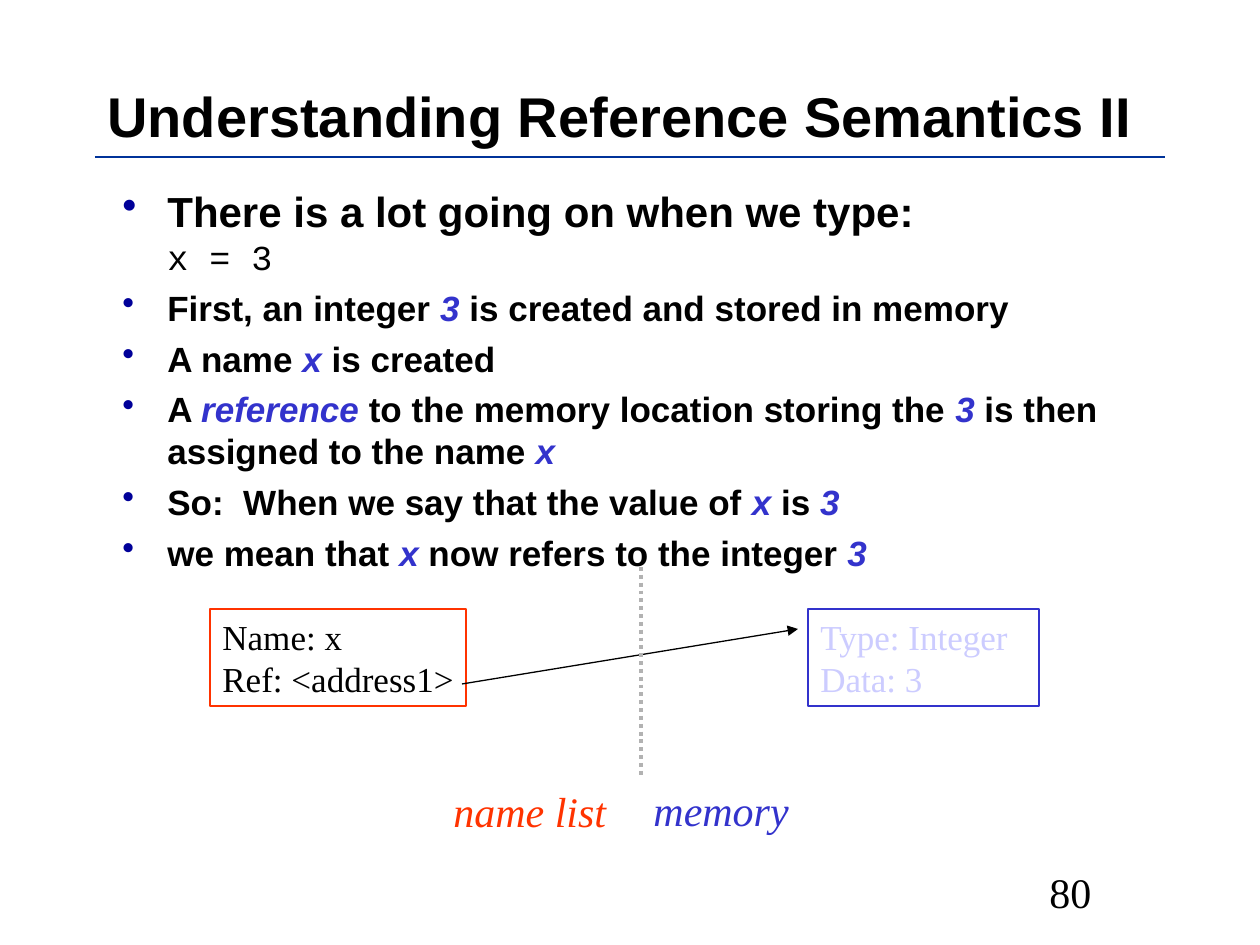
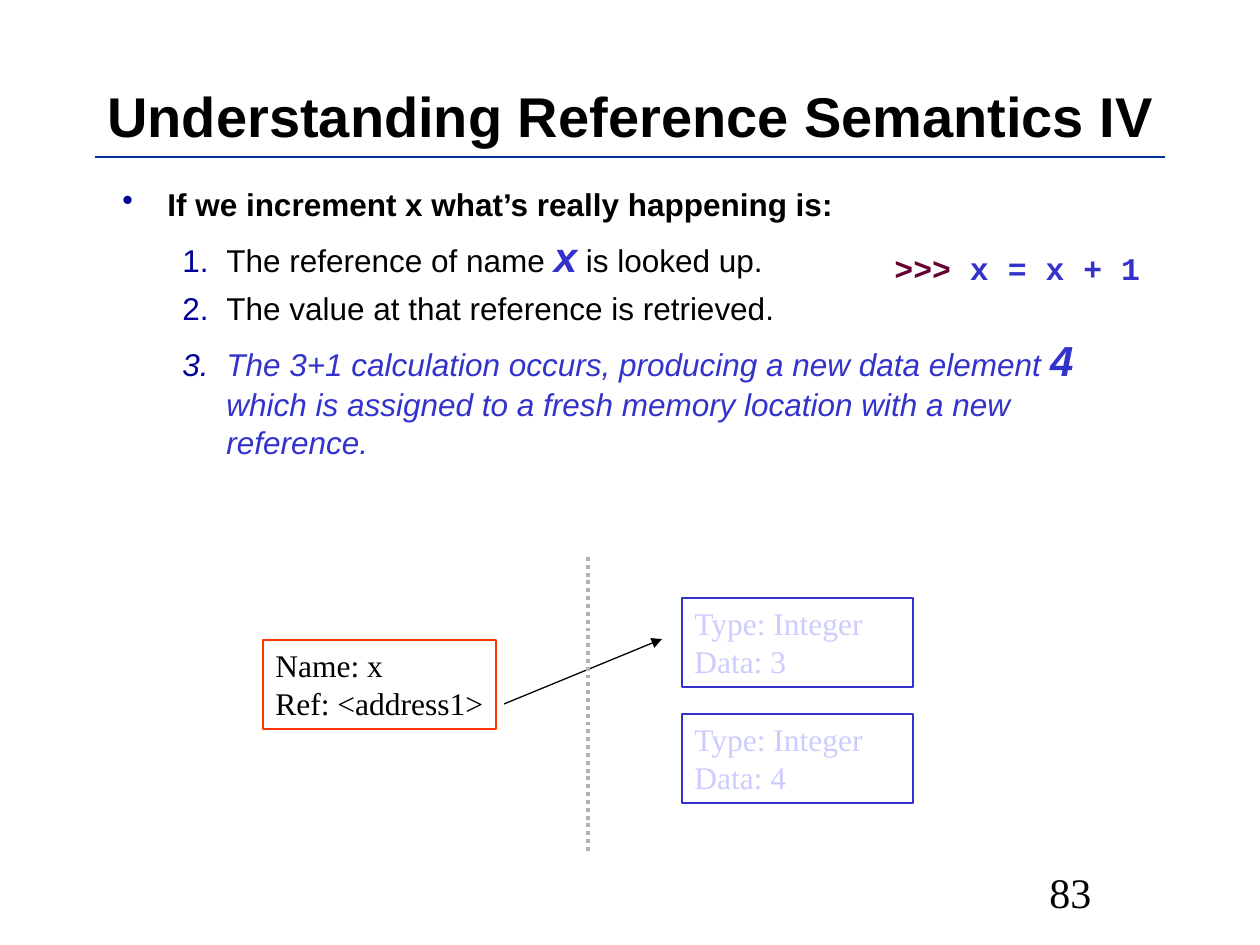
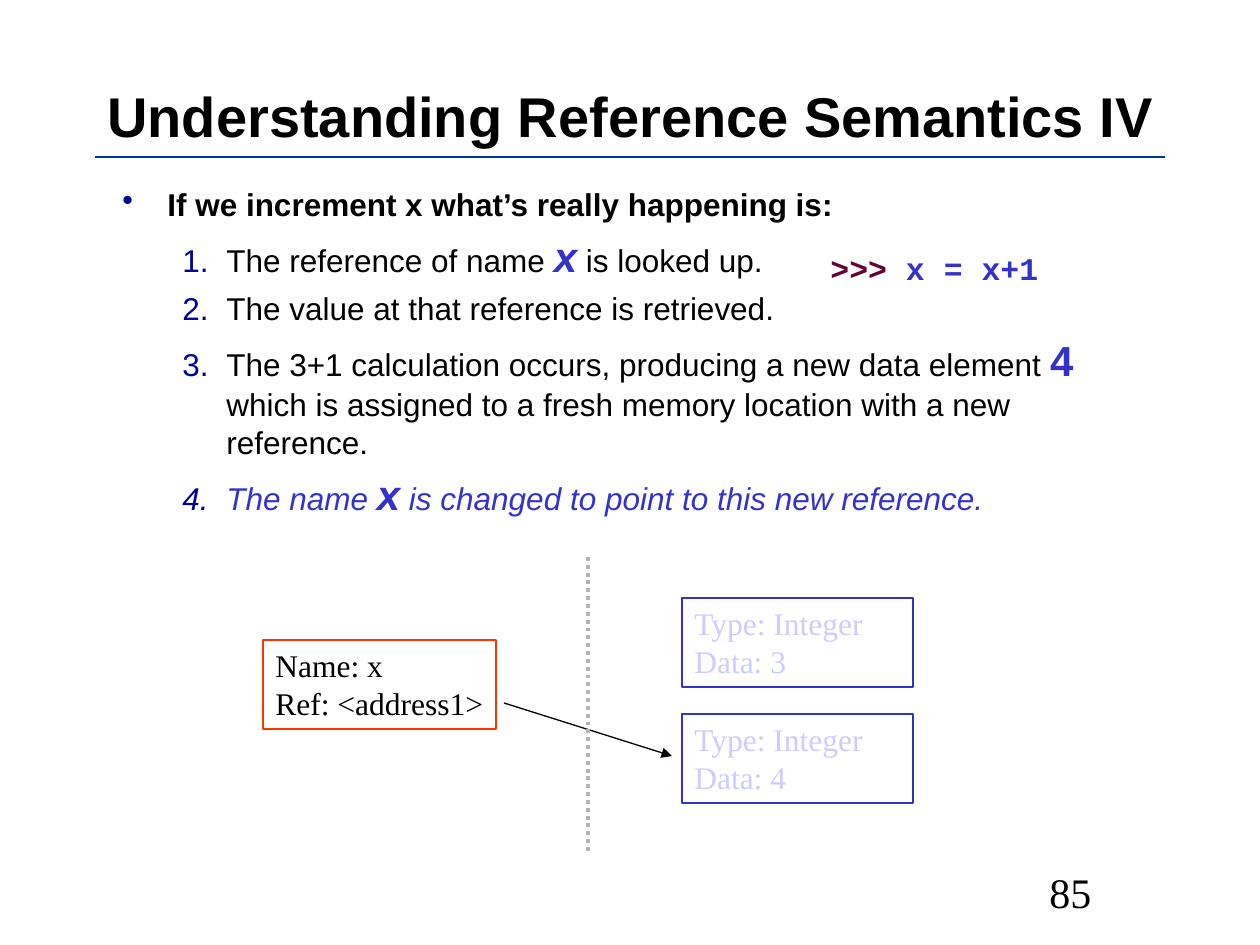
from lxml import etree
from pptx import Presentation
from pptx import util as u
from pptx.dml.color import RGBColor
from pptx.enum import dml, shapes, text
from pptx.oxml import ns

PX = u.Inches(1) / 126
BLACK = RGBColor(0x00, 0x00, 0x00)
BLUE = RGBColor(0x33, 0x33, 0xCC)
PALE_BLUE = RGBColor(0xCC, 0xCC, 0xFF)
RED = RGBColor(0xFF, 0x33, 0x00)
GRAY = RGBColor(0xB2, 0xB2, 0xB2)
RULE_BLUE = RGBColor(0x00, 0x33, 0x99)
MAROON = RGBColor(0x66, 0x00, 0x33)
BULLET_HEX = "000099"
SANS, SERIF, MONO = "Arial", "Times New Roman", "Courier New"


def add_frame(slide, box, outline=None, right_inset=13, anchor=text.MSO_ANCHOR.TOP):
    shape = slide.shapes.add_textbox(*(round(length * PX) for length in box))
    if outline is not None:
        shape.line.color.rgb = outline
        shape.line.width = u.Pt(0.75)
    frame = shape.text_frame
    frame.word_wrap = True
    frame.margin_right = round(right_inset * PX)
    frame.vertical_anchor = anchor
    return frame


def write(frame, content, size=18, font=SANS, color=BLACK, bold=False, italic=False,
          accent=None, bullet=None, margin=0, indent=0, space=0):
    paragraph = frame.paragraphs[0]
    if paragraph.runs:
        paragraph = frame.add_paragraph()
        paragraph.space_before = u.Pt(space)
    properties = paragraph._p.get_or_add_pPr()
    properties.set("marL", str(round(margin * PX)))
    properties.set("indent", str(round(indent * PX)))
    if bullet:
        bullet_color = etree.SubElement(properties, ns.qn("a:buClr"))
        etree.SubElement(bullet_color, ns.qn("a:srgbClr"), val=BULLET_HEX)
        if bullet == "number":
            etree.SubElement(properties, ns.qn("a:buAutoNum"), type="arabicPeriod")
        else:
            etree.SubElement(properties, ns.qn("a:buChar"), char=bullet)
    base = dict(size=size, font=font, color=color, bold=bold, italic=italic)
    for position, piece in enumerate(content.split("*")):
        if not piece:
            continue
        style = {**base, **accent} if position % 2 else base
        if piece.startswith("\n"):
            paragraph.add_line_break()
        run = paragraph.add_run()
        run.text = piece.strip("\n")
        run.font.size = u.Pt(style["size"])
        run.font.name = style["font"]
        run.font.color.rgb = style["color"]
        run.font.bold = style["bold"]
        run.font.italic = style["italic"]


TOP_LEVEL = dict(bullet="•", margin=60, indent=-45, bold=True)
STEP = dict(bullet="number", margin=119, indent=-44, space=4.5)
FACT = dict(TOP_LEVEL, size=20, space=5, accent=dict(color=BLUE, italic=True))
BIG = dict(size=24, color=BLUE, bold=True)
BIG_ITALIC = dict(BIG, italic=True)
CURRENT = dict(color=BLUE, italic=True)

opening = [
    ("There is a lot going on when we type:*\nx = 3*",
     dict(TOP_LEVEL, size=24, accent=dict(size=20, font=MONO, bold=False))),
    ("First, an integer *3* is created and stored in memory", FACT),
    ("A name *x* is created", FACT),
    ("A *reference* to the memory location storing the *3* is then assigned to the name *x*", FACT),
    ("So:  When we say that the value of *x* is *3*", FACT),
    ("we mean that *x* now refers to the integer *3*", FACT),
]
lookup = [
    ("If we increment x what’s really happening is:", TOP_LEVEL),
    ("The reference of name *x* is looked up.", dict(STEP, accent=BIG_ITALIC)),
    ("The value at that reference is retrieved.", STEP),
]
calculation = ("The 3+1 calculation occurs, producing a new data element *4* "
               "which is assigned to a fresh memory location with a new reference.")
renaming = "The name *x* is changed to point to this new reference."

name_box = (263, 640, 233, 89)
integer_boxes = [((682, 598, 231, 89), 3), ((682, 714, 231, 89), 4)]
divider = (588, 557, 588, 851)

pages = [
    dict(number=80, title="Understanding Reference Semantics II", body=opening, size=20,
         name_box=(210, 609, 256, 97), integers=[((808, 609, 231, 97), 3)],
         arrow=(462, 684, 798, 629), divider=(641, 567, 641, 777), code=None,
         labels=[("name list", (441, 779, 178, 63), RED), ("memory", (641, 778, 160, 63), BLUE)]),
    dict(number=83, title="Understanding Reference Semantics IV", size=18,
         body=lookup + [(calculation, dict(STEP, **CURRENT, accent=BIG))],
         name_box=name_box, integers=integer_boxes,
         arrow=(504, 704, 662, 639), divider=divider, labels=[],
         code=(">>> *x = x + 1*", (819, 243, 388, 126))),
    dict(number=85, title="Understanding Reference Semantics IV", size=18,
         body=lookup + [(calculation, dict(STEP, accent=BIG)),
                        (renaming, dict(STEP, **CURRENT, accent=BIG))],
         name_box=name_box, integers=integer_boxes,
         arrow=(504, 703, 672, 756), divider=divider, labels=[],
         code=(">>> *x = x+1*", (755, 243, 388, 88))),
]

presentation = Presentation()
presentation.slide_width = u.Inches(10)
presentation.slide_height = u.Inches(7.5)

for page in pages:
    slide = presentation.slides.add_slide(presentation.slide_layouts[6])

    number_frame = add_frame(slide, (903, 835, 261, 113), anchor=text.MSO_ANCHOR.MIDDLE)
    write(number_frame, str(page["number"]), size=24, font=SERIF, margin=134)
    title_frame = add_frame(slide, (95, 76, 1090, 79), anchor=text.MSO_ANCHOR.MIDDLE)
    write(title_frame, page["title"], size=32, bold=True)

    body_frame = add_frame(slide, (95, 179, 1071, 400))
    for content, style in page["body"]:
        write(body_frame, content, **style)

    for box, value in page["integers"]:
        integer_frame = add_frame(slide, box, outline=BLUE)
        for content in ("Type: Integer", f"Data: {value}"):
            write(integer_frame, content, size=page["size"], font=SERIF, color=PALE_BLUE)

    name_frame = add_frame(slide, page["name_box"], outline=RED, right_inset=0)
    for content in ("Name: x", "Ref: <address1>"):
        write(name_frame, content, size=page["size"], font=SERIF)

    for content, box, color in page["labels"]:
        label_frame = add_frame(slide, box, right_inset=0)
        write(label_frame, content, size=24, font=SERIF, color=color, italic=True)

    if page["code"]:
        content, box = page["code"]
        write(add_frame(slide, box), content, font=MONO, color=MAROON, bold=True,
              margin=63, accent=dict(color=BLUE))

    for kind, ends, color, width in [
        ("rule", (95, 157, 1165, 157), RULE_BLUE, 1),
        ("arrow", page["arrow"], BLACK, 0.75),
        ("divider", page["divider"], GRAY, 2.25),
    ]:
        connector = slide.shapes.add_connector(
            shapes.MSO_CONNECTOR.STRAIGHT, *(round(length * PX) for length in ends))
        connector.line.color.rgb = color
        connector.line.width = u.Pt(width)
        if kind == "divider":
            connector.line.dash_style = dml.MSO_LINE.ROUND_DOT
        properties = connector._element.spPr
        if kind == "arrow":
            etree.SubElement(properties.find(ns.qn("a:ln")), ns.qn("a:tailEnd"), type="triangle")
        etree.SubElement(properties, ns.qn("a:effectLst"))

presentation.save("out.pptx")
